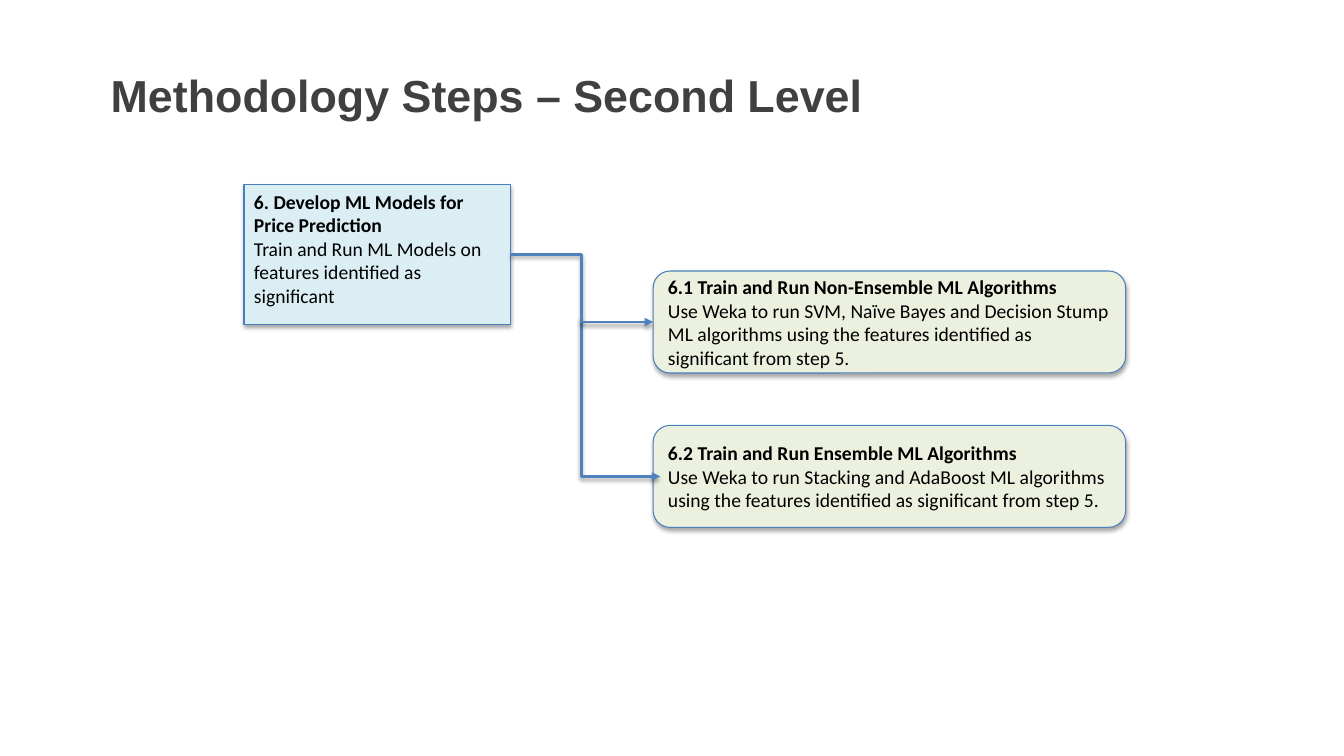
import pptx
import pptx.util
import pptx.dml.color
import pptx.enum.shapes
import pptx.enum.text
import pptx.oxml
import pptx.oxml.ns

Cm, Pt = pptx.util.Cm, pptx.util.Pt
KIND = pptx.enum.shapes.MSO_SHAPE
ANCHOR = pptx.enum.text.MSO_ANCHOR
ELBOW = pptx.enum.shapes.MSO_CONNECTOR.ELBOW

HUES = {"title": "404040", "text": "000000", "goal": "DBEEF4",
        "step": "EBF1DE", "edge": "4B7EBC", "link": "4F81BD"}

GOAL = ("6. Develop ML Models for Price Prediction",
        "Train and Run ML Models on features identified as significant")
STEPS = [
    ("6.1 Train and Run Non-Ensemble ML Algorithms",
     "Use Weka to run SVM, Naïve Bayes and Decision Stump ML algorithms "
     "using the features identified as significant from step 5."),
    ("6.2 Train and Run Ensemble ML Algorithms",
     "Use Weka to run Stacking and AdaBoost ML algorithms "
     "using the features identified as significant from step 5."),
]


def hue(name):
    return pptx.dml.color.RGBColor.from_string(HUES[name])


def style(para, face, size, color, bold):
    for run in para.runs:
        run.font.name, run.font.size, run.font.bold = face, Pt(size), bold
        run.font.color.rgb = hue(color)


def shade(item, alpha):
    ns = pptx.oxml.ns.nsdecls("a")
    item._element.spPr.append(pptx.oxml.parse_xml(
        f'<a:effectLst {ns}><a:outerShdw blurRad="{Pt(3.1)}" dist="{Pt(1.8)}" '
        f'dir="5400000" rotWithShape="0"><a:srgbClr val="000000">'
        f'<a:alpha val="{alpha * 1000}"/></a:srgbClr></a:outerShdw></a:effectLst>'))


def add_title(slide, left, top, width, height):
    box = slide.shapes.add_textbox(Cm(left), Cm(top), Cm(width), Cm(height))
    frame = box.text_frame
    frame.word_wrap = True
    frame.text = "Methodology Steps – Second Level"
    style(frame.paragraphs[0], "Arial", 32, "title", True)


def add_card(slide, kind, fill, anchor, words, left, top, width, height):
    card = slide.shapes.add_shape(kind, Cm(left), Cm(top), Cm(width), Cm(height))
    card.fill.solid()
    card.fill.fore_color.rgb = hue(fill)
    card.line.color.rgb = hue("edge")
    card.line.width = Pt(0.75)
    shade(card, 35)
    frame = card.text_frame
    frame.word_wrap = True
    frame.vertical_anchor = anchor
    frame.text = "\n".join(words)
    for para, bold in zip(frame.paragraphs, (True, False)):
        para.alignment = pptx.enum.text.PP_ALIGN.LEFT
        style(para, "Calibri", 14, "text", bold)
    return card


def add_link(slide, x1, y1, x2, y2):
    link = slide.shapes.add_connector(ELBOW, x1, y1, x2, y2)
    link.line.color.rgb = hue("link")
    link.line.width = Pt(2)
    ns = pptx.oxml.ns.nsdecls("a")
    link.line._get_or_add_ln().append(
        pptx.oxml.parse_xml(f'<a:tailEnd {ns} type="triangle"/>'))
    shade(link, 38)
    return link


def add_drop(slide, x1, y1, x2, y2):
    # Down, then right: a flipped elbow turned by 270 degrees
    midx, midy = (x1 + x2) // 2, (y1 + y2) // 2
    halfw, halfh = (y2 - y1) // 2, (x2 - x1) // 2
    link = add_link(slide, midx + halfw, midy - halfh, midx - halfw, midy + halfh)
    props = link._element.spPr
    props.find(pptx.oxml.ns.qn("a:xfrm")).set("rot", "16200000")
    guides = props.find(pptx.oxml.ns.qn("a:prstGeom")).get_or_add_avLst()
    ns = pptx.oxml.ns.nsdecls("a")
    guides.append(pptx.oxml.parse_xml(
        f'<a:gd {ns} name="adj1" fmla="val 100000"/>'))


def add_tree(slide, left, top, width):
    # Goal on the left, steps stacked on the right
    goal = add_card(slide, KIND.RECTANGLE, "goal", ANCHOR.TOP, GOAL,
                    left, top, 6.71, 3.53)
    wide, high, pitch = 11.91, 2.57, 3.89
    first, last = [
        add_card(slide, KIND.ROUNDED_RECTANGLE, "step", ANCHOR.MIDDLE, words,
                 left + width - wide, top + 2.18 + row * pitch, wide, high)
        for row, words in enumerate(STEPS)]

    # Arrows
    trunk = (goal.left + goal.width + first.left) // 2
    add_drop(slide, trunk, Cm(top + 3.35),
             last.left + Cm(0.18), last.top + last.height // 2)
    link = add_link(slide, goal.left + goal.width, goal.top + goal.height // 2,
                    first.left, first.top + first.height // 2)
    link.begin_connect(goal, 3)
    link.end_connect(first, 1)


def main():
    deck = pptx.Presentation()
    deck.slide_width, deck.slide_height = Cm(33.87), Cm(19.05)
    slide = deck.slides.add_slide(deck.slide_layouts[6])
    add_title(slide, 2.54, 1.57, 28.73, 2.92)
    add_tree(slide, 6.15, 4.65, 22.22)
    deck.save("out.pptx")


if __name__ == "__main__":
    main()
